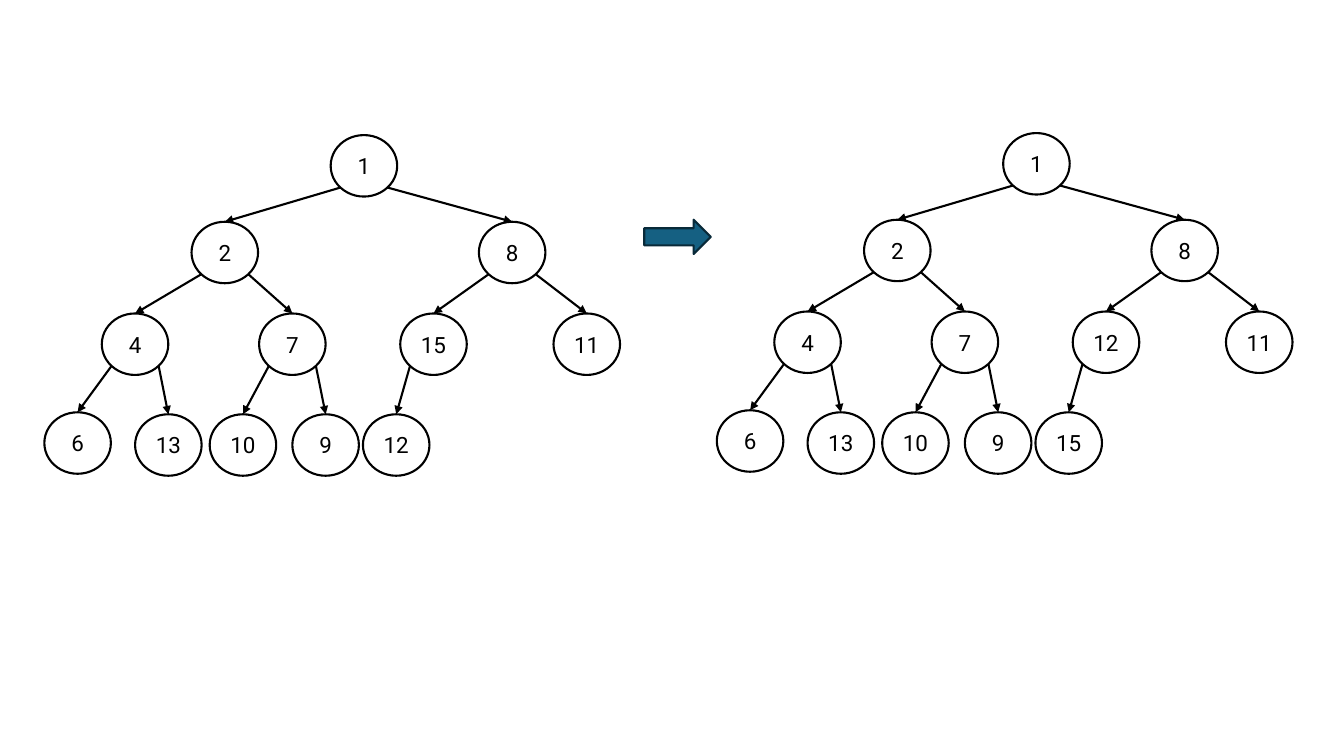
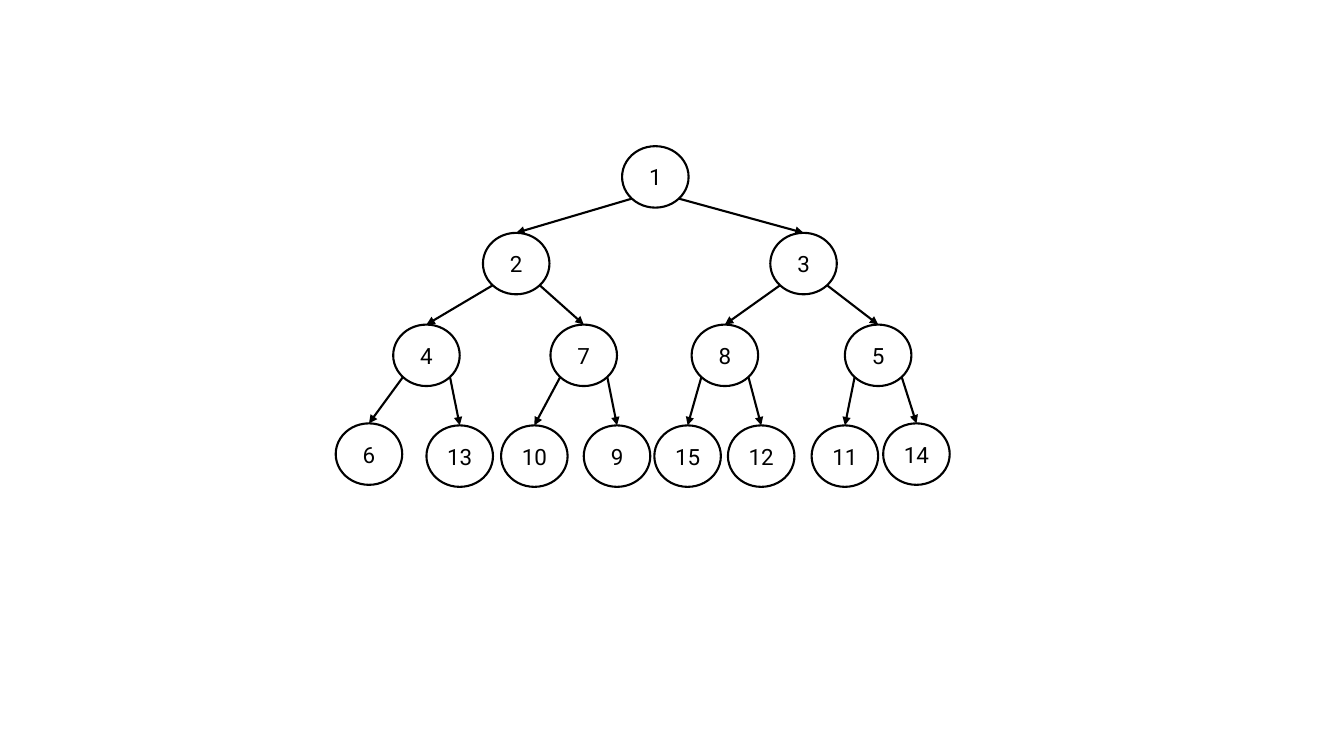
import math
from lxml import etree
from pptx import Presentation
from pptx.dml.color import RGBColor
from pptx.enum.shapes import MSO_CONNECTOR, MSO_SHAPE
from pptx.enum.text import MSO_ANCHOR, PP_ALIGN
from pptx.oxml.ns import qn
from pptx.util import Pt

OVAL, RIGHT_ARROW = MSO_SHAPE.OVAL, MSO_SHAPE.RIGHT_ARROW
STRAIGHT = MSO_CONNECTOR.STRAIGHT
MIDDLE, CENTER = MSO_ANCHOR.MIDDLE, PP_ALIGN.CENTER

# Shared style; 100 px to the inch
EMU_PER_PX = 9144
COLORS = {"white": "FFFFFF", "black": "000000", "arrow": "156082", "arrow_edge": "092A39"}
FONT, FONT_SIZE, LINE_WIDTH = "Roboto", Pt(16), Pt(1.5)
NODE_W, NODE_H = 66, 61

# Connection sites of an oval
TOP, LOWER_LEFT, LOWER_RIGHT = 0, 3, 5

# Node offsets from the root, in heap order
NODE_OFFSETS = [
    (0, 0),
    (-138, 86), (147, 86),
    (-227, 177), (-71, 177), (69, 177), (221, 177),
    (-284, 275), (-194, 277), (-120, 277), (-38, 277),
    (32, 277), (105, 277), (188, 277), (259, 275),
]


def px(n):
    return round(n * EMU_PER_PX)


def rgb(name):
    return RGBColor.from_string(COLORS[name])


def add_shape(s, kind, x, y, w, h, fill, line):
    sp = s.shapes.add_shape(kind, px(x), px(y), px(w), px(h))
    sp.shadow.inherit = False
    sp.fill.solid()
    sp.fill.fore_color.rgb = rgb(fill)
    sp.line.color.rgb = rgb(line)
    sp.line.width = LINE_WIDTH
    return sp


def add_node(s, x, y, value):
    sp = add_shape(s, OVAL, x, y, NODE_W, NODE_H, "white", "black")
    tf = sp.text_frame
    tf.margin_left = tf.margin_right = tf.margin_top = tf.margin_bottom = 0
    tf.vertical_anchor = MIDDLE
    p = tf.paragraphs[0]
    p.text = str(value)
    p.alignment = CENTER
    p.font.name, p.font.size = FONT, FONT_SIZE
    p.font.color.rgb = rgb("black")
    return sp


def add_edge(s, parent, child, site):
    # From the parent's lower diagonal to the top of the child
    side = -1 if site == LOWER_LEFT else 1
    reach = math.sqrt(0.5)
    x1 = parent.left + round(parent.width / 2 * (1 + side * reach))
    y1 = parent.top + round(parent.height / 2 * (1 + reach))
    cx = s.shapes.add_connector(STRAIGHT, x1, y1, child.left + child.width // 2, child.top)
    cx.line.color.rgb = rgb("black")
    cx.line.width = LINE_WIDTH

    # Glue both ends, add the arrowhead, remove the shadow
    glue = cx._element.nvCxnSpPr.cNvCxnSpPr
    for tag, sp, idx in (("a:stCxn", parent, site), ("a:endCxn", child, TOP)):
        etree.SubElement(glue, qn(tag), id=str(sp.shape_id), idx=str(idx))
    etree.SubElement(cx.line._get_or_add_ln(), qn("a:tailEnd"), type="triangle")
    etree.SubElement(cx._element.spPr, qn("a:effectLst"))


def add_heap(s, x, y, values):
    nodes = []
    for i, ((dx, dy), value) in enumerate(zip(NODE_OFFSETS, values)):
        nodes.append(add_node(s, x + dx, y + dy, value))
        if i:
            site = LOWER_LEFT if i % 2 else LOWER_RIGHT
            add_edge(s, nodes[(i - 1) // 2], nodes[i], site)


def main():
    prs = Presentation()
    prs.slide_width, prs.slide_height = px(1333), px(750)
    blank = prs.slide_layouts[6]

    # Slide 1: swapping 15 and 12
    s = prs.slides.add_slide(blank)
    add_heap(s, 328, 134, [1, 2, 8, 4, 7, 15, 11, 6, 13, 10, 9, 12])
    add_heap(s, 995, 132, [1, 2, 8, 4, 7, 12, 11, 6, 13, 10, 9, 15])
    add_shape(s, RIGHT_ARROW, 639, 218, 66, 34, "arrow", "arrow_edge")

    # Slide 2: full heap
    s = prs.slides.add_slide(blank)
    add_heap(s, 617, 145, [1, 2, 3, 4, 7, 8, 5, 6, 13, 10, 9, 15, 12, 11, 14])

    prs.save("out.pptx")


if __name__ == "__main__":
    main()
